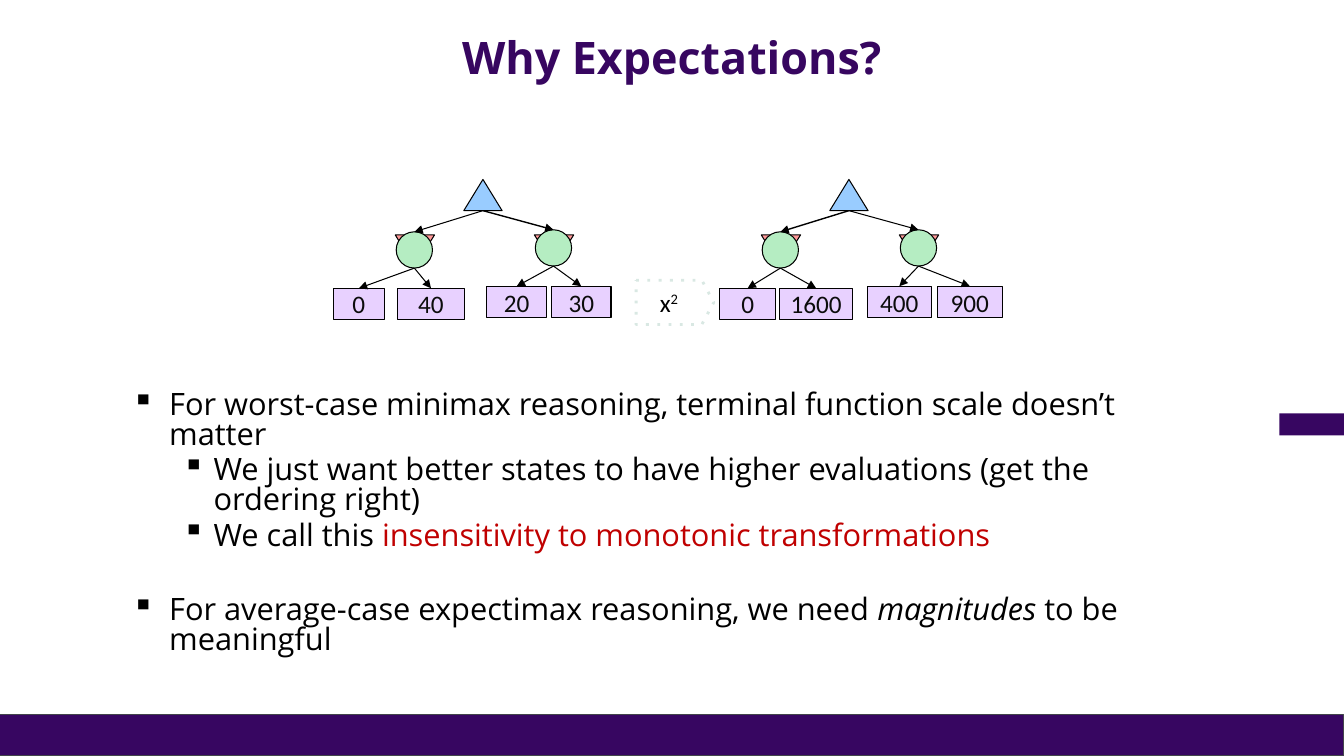
"""Build the slide on why expectations matter, with two game trees and bullets."""
from dataclasses import dataclass, field
from typing import Any

from lxml.etree import SubElement
from pptx import Presentation
from pptx.dml.color import RGBColor
from pptx.enum.shapes import MSO_CONNECTOR, MSO_SHAPE
from pptx.enum.text import MSO_ANCHOR, PP_ALIGN
from pptx.oxml.ns import qn
from pptx.util import Inches, Pt

COLORS = {
    "purple": "370661", "title": "370660", "footer_line": "43454B",
    "black": "000000", "white": "FFFFFF", "leaf_text": "0C0C0C",
    "minimum": "FF9999", "maximum": "99CCFF", "chance": "B5EDC2",
    "leaf": "E8D1FF", "dots": "D9E8E3", "red": "C00000",
}
LEAF_FONT = {"name": "Calibri", "size": Pt(18)}
BODY_FONT = {"name": "Open Sans", "size": Pt(22)}
TITLE_FONT = {"name": "Open Sans", "size": Pt(32), "bold": True}
NODE_HEIGHT = 0.31
CHANCE_SIZE = 0.36
LEAF_DROP = 0.56


@dataclass
class Leaf:
    value: str
    left: float
    width: float


@dataclass
class Branch:
    center: float
    top: float
    leaves: list[Leaf]
    line_width: float = 0.75


@dataclass
class Tree:
    center: float
    branches: list[Branch]


@dataclass
class Run:
    text: str
    color: str = "black"
    formats: dict[str, Any] = field(default_factory=dict)


@dataclass
class Bullet:
    level: int
    space_before: float
    runs: list[Run]


TREES = [
    Tree(4.79, [
        Branch(4.11, 2.3, [Leaf("0", 3.31, 0.5), Leaf("40", 3.94, 0.67)]),
        Branch(5.49, 2.28, [Leaf("20", 4.83, 0.59), Leaf("30", 5.47, 0.59)], 1),
    ]),
    Tree(8.42, [
        Branch(7.74, 2.3, [Leaf("0", 7.14, 0.55), Leaf("1600", 7.73, 0.73)], 1),
        Branch(9.11, 2.28, [Leaf("400", 8.6, 0.64), Leaf("900", 9.3, 0.64)]),
    ]),
]
BULLETS = [
    Bullet(0, 0, [Run("For worst-case minimax reasoning, terminal function scale doesn’t matter")]),
    Bullet(1, 4.4, [Run("We just want better states to have higher evaluations (get the ordering right)")]),
    Bullet(1, 4.4, [Run("We call this "), Run("insensitivity to monotonic transformations", "red")]),
    Bullet(0, 32, [Run("For average-case expectimax reasoning, we need "),
                   Run("magnitudes", formats={"italic": True}), Run(" to be meaningful")]),
]
INDENTS = {0: (0.37, -0.37), 1: (0.81, -0.31)}


def set_formats(target: Any, formats: dict[str, Any]) -> None:
    for name, value in formats.items():
        setattr(target, name, value)


def add_run(paragraph: Any, text: str, color: str, formats: dict[str, Any]) -> Any:
    run = paragraph.add_run()
    run.text = text
    set_formats(run.font, formats)
    run.font.color.rgb = RGBColor.from_string(COLORS[color])
    return run


def add_node(slide: Any, kind: Any, box: tuple, fill: str,
             line: str | None = "black", line_width: float = 0.75) -> Any:
    shape = slide.shapes.add_shape(kind, *map(Inches, box))
    shape.shadow.inherit = False
    shape.fill.solid()
    shape.fill.fore_color.rgb = RGBColor.from_string(COLORS[fill])
    if line is None:
        shape.line.fill.background()
    else:
        shape.line.color.rgb = RGBColor.from_string(COLORS[line])
        shape.line.width = Pt(line_width)
    return shape


def add_label(shape: Any, text: str, color: str) -> Any:
    set_formats(shape.text_frame, {"word_wrap": False, "vertical_anchor": MSO_ANCHOR.MIDDLE})
    paragraph = shape.text_frame.paragraphs[0]
    paragraph.alignment = PP_ALIGN.CENTER
    add_run(paragraph, text, color, LEAF_FONT)
    return paragraph


def add_arrow(slide: Any, start: tuple[float, float], target: Any, line_width: float = 0.75) -> None:
    x, y = map(Inches, start)
    connector = slide.shapes.add_connector(MSO_CONNECTOR.STRAIGHT, x, y, x, y)
    connector.end_connect(target, 0)
    connector.line.color.rgb = RGBColor.from_string(COLORS["black"])
    connector.line.width = Pt(line_width)
    properties = connector._element.spPr
    SubElement(properties.find(qn("a:ln")), qn("a:tailEnd"), type="triangle")
    SubElement(properties, qn("a:effectLst"))


def add_tree(slide: Any, tree: Tree) -> None:
    root_top = 1.78
    for branch in tree.branches:
        minimum = add_node(slide, MSO_SHAPE.ISOSCELES_TRIANGLE,
                           (branch.center - 0.19, 2.33, 0.39, NODE_HEIGHT), "minimum")
        minimum.rotation = 180
        chance = add_node(slide, MSO_SHAPE.OVAL,
                          (branch.center - CHANCE_SIZE / 2, branch.top, CHANCE_SIZE, CHANCE_SIZE), "chance")
        add_arrow(slide, (tree.center, root_top + NODE_HEIGHT), chance, branch.line_width)
        for leaf in branch.leaves:
            box = (leaf.left, branch.top + LEAF_DROP, leaf.width, NODE_HEIGHT)
            shape = add_node(slide, MSO_SHAPE.RECTANGLE, box, "leaf")
            add_label(shape, leaf.value, "leaf_text")
            add_arrow(slide, (branch.center, branch.top + CHANCE_SIZE), shape)
    add_node(slide, MSO_SHAPE.ISOSCELES_TRIANGLE,
             (tree.center - 0.19, root_top, 0.38, NODE_HEIGHT), "maximum")


def add_square_arrow(slide: Any) -> None:
    shape = add_node(slide, MSO_SHAPE.RIGHT_ARROW, (6.31, 2.78, 0.77, 0.44), "white", "dots", 2)
    shape.adjustments[0] = 1
    shape.adjustments[1] = 0.27
    SubElement(shape._element.spPr.find(qn("a:ln")), qn("a:prstDash"), val="dot")
    paragraph = add_label(shape, "x", "black")
    exponent = add_run(paragraph, "2", "black", LEAF_FONT)
    exponent._r.get_or_add_rPr().set("baseline", "30000")


def add_title(slide: Any) -> None:
    frame = slide.shapes.add_textbox(*map(Inches, (0, -0.03, 13.33, 1.25))).text_frame
    set_formats(frame, {"word_wrap": True, "vertical_anchor": MSO_ANCHOR.MIDDLE})
    paragraph = frame.paragraphs[0]
    set_formats(paragraph, {"alignment": PP_ALIGN.CENTER, "line_spacing": 0.9})
    add_run(paragraph, "Why Expectations?", "title", TITLE_FONT)


def add_bullets(slide: Any) -> None:
    frame = slide.shapes.add_textbox(*map(Inches, (1.21, 3.84, 10.95, 2.57))).text_frame
    frame.word_wrap = True
    for index, bullet in enumerate(BULLETS):
        paragraph = frame.add_paragraph() if index else frame.paragraphs[0]
        set_formats(paragraph, {"level": bullet.level, "line_spacing": 0.8,
                                "space_before": Pt(bullet.space_before)})
        properties = paragraph._p.get_or_add_pPr()
        for name, indent in zip(("marL", "indent"), INDENTS[bullet.level]):
            properties.set(name, str(Inches(indent)))
        SubElement(properties, qn("a:buChar"), char="▪")
        for run in bullet.runs:
            add_run(paragraph, run.text, run.color, BODY_FONT | run.formats)


def main() -> None:
    presentation = Presentation()
    set_formats(presentation, {"slide_width": Inches(13.33), "slide_height": Inches(7.5)})
    slide = presentation.slides.add_slide(presentation.slide_layouts[6])
    add_node(slide, MSO_SHAPE.RECTANGLE, (0, 7.09, 13.33, 0.41), "purple", "footer_line")
    add_node(slide, MSO_SHAPE.RECTANGLE, (12.69, 4.1, 0.64, 0.22), "purple", None)
    add_title(slide)
    add_bullets(slide)
    for tree in TREES:
        add_tree(slide, tree)
    add_square_arrow(slide)
    presentation.save("out.pptx")


if __name__ == "__main__":
    main()
